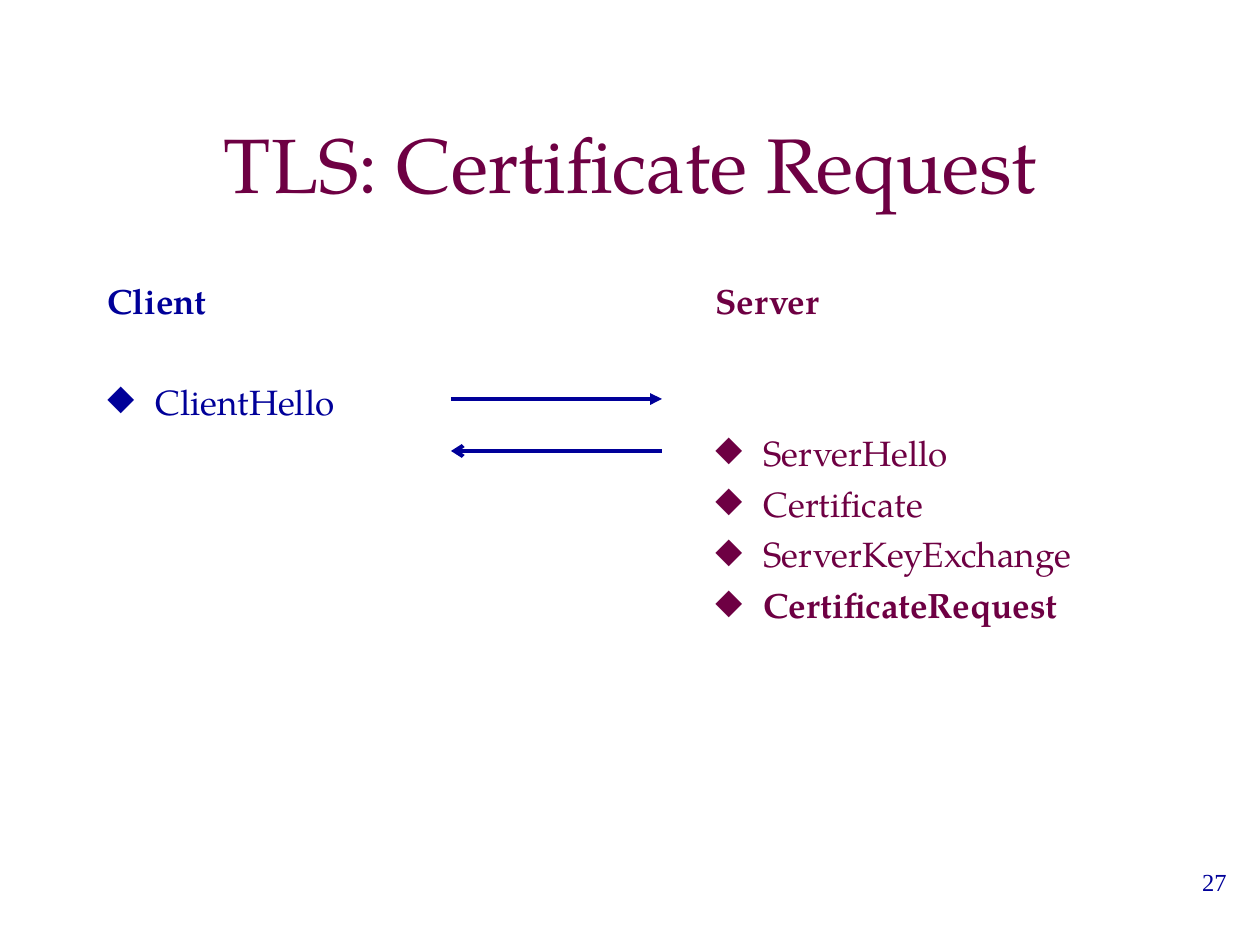
from lxml.etree import SubElement
from pptx import Presentation
from pptx.dml.color import RGBColor
from pptx.enum.shapes import MSO_CONNECTOR as CONN
from pptx.enum.text import MSO_ANCHOR as ANCHOR, PP_ALIGN as ALIGN
from pptx.oxml.ns import qn
from pptx.util import Pt

EMU_PER_PX = 914400 / 126
BLUE, PLUM = "000099", "6E0043"
SERIF, TIMES = "TeX Gyre Pagella", "Times New Roman"


def px(n):
    return round(n * EMU_PER_PX)


def rgb(color):
    return RGBColor.from_string(color)


class Deck:
    line_width = Pt(2.25)
    body_size = 20
    space_before = 5
    hanging = 48

    def __init__(self, width, height):
        self.prs = Presentation()
        self.prs.slide_width, self.prs.slide_height = px(width), px(height)
        self.s = self.prs.slides.add_slide(self.prs.slide_layouts[6])

    def frame(self, x, y, w, h):
        tf = self.s.shapes.add_textbox(px(x), px(y), px(w), px(h)).text_frame
        tf.word_wrap = True
        return tf

    def format(self, p, size, color, font=SERIF, bold=False):
        f = p.runs[0].font
        f.size, f.name, f.bold = Pt(size), font, bold
        f.color.rgb = rgb(color)

    def label(self, box, text, size, color, font, align, anchor=ANCHOR.TOP):
        tf = self.frame(*box)
        tf.text = text
        tf.vertical_anchor = anchor
        p = tf.paragraphs[0]
        p.alignment = align
        self.format(p, size, color, font)

    def bullet(self, p, left, color):
        pPr = p._p.get_or_add_pPr()
        pPr.set("marL", str(px(left + self.hanging)))
        pPr.set("indent", str(-px(self.hanging)))
        clr = SubElement(pPr, qn("a:buClr"))
        SubElement(clr, qn("a:srgbClr"), val=color)
        SubElement(pPr, qn("a:buChar"), char="◆")

    def column(self, box, heading, items, color, left=0, gap=0, strong=()):
        """A bold heading, then bullets that start `gap` points lower."""
        tf = self.frame(*box)
        tf.text = "\n".join([heading, *items])
        for i, p in enumerate(tf.paragraphs):
            p.space_before = Pt(gap if i == 1 else self.space_before)
            self.format(p, self.body_size, color, bold=i == 0 or p.text in strong)
            if i:
                self.bullet(p, left, color)
            else:
                p._p.get_or_add_pPr().set("marL", str(px(left)))

    def arrow(self, x1, x2, y, color, end, kind):
        c = self.s.shapes.add_connector(CONN.STRAIGHT, px(x1), px(y), px(x2), px(y))
        c.line.width = self.line_width
        c.line.color.rgb = rgb(color)
        SubElement(c.line._get_or_add_ln(), qn(f"a:{end}"), type=kind)
        SubElement(c._element.spPr, qn("a:effectLst"))


def main():
    deck = Deck(1260, 945)

    # Title
    deck.label((95, 84, 1071, 158), "TLS: Certificate Request", 44, PLUM,
               SERIF, ALIGN.CENTER, ANCHOR.MIDDLE)

    # Messages of each side
    deck.column((95, 273, 525, 567), "Client", ["ClientHello"], BLUE, gap=34)
    deck.column((640, 273, 525, 567), "Server",
                ["ServerHello", "Certificate", "ServerKeyExchange",
                 "CertificateRequest"],
                PLUM, left=63, gap=63, strong=("CertificateRequest",))

    # Request and reply
    deck.arrow(451, 662, 399, BLUE, "tailEnd", "triangle")
    deck.arrow(451, 662, 451, BLUE, "headEnd", "arrow")

    # Slide number
    deck.label((977, 861, 262, 63), "27", 14, BLUE, TIMES, ALIGN.RIGHT)

    deck.prs.save("out.pptx")


if __name__ == "__main__":
    main()
